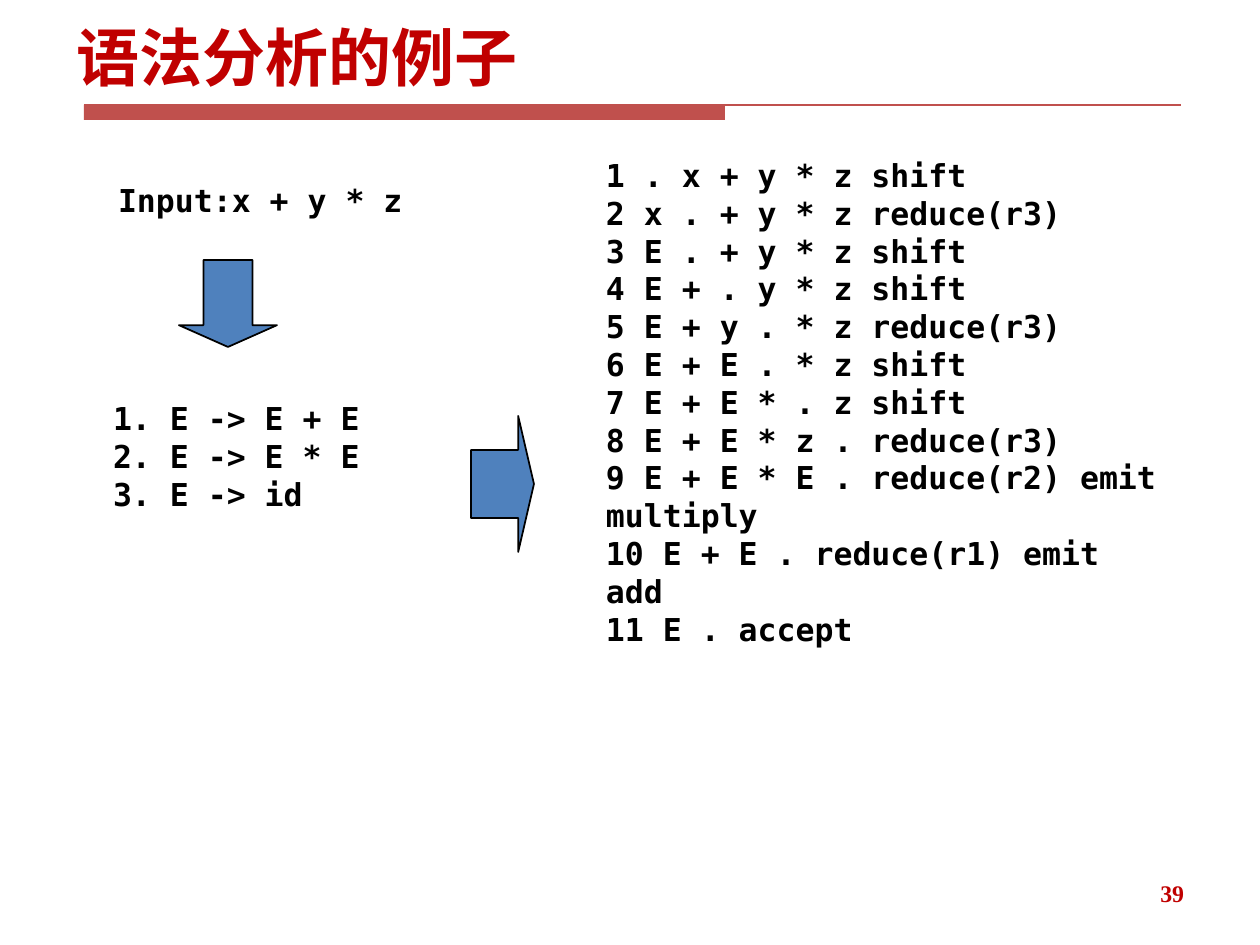
from lxml.etree import SubElement
from pptx import Presentation
from pptx.dml.color import RGBColor
from pptx.enum.shapes import MSO_CONNECTOR, MSO_SHAPE
from pptx.enum.text import MSO_ANCHOR, PP_ALIGN
from pptx.oxml.ns import qn
from pptx.util import Emu, Pt

PX = 914400 // 126
MONO = "DejaVu Sans Mono"
CJK = "Noto Sans CJK SC"
SERIF = "Times New Roman"
BLACK, RED, BRICK, BLUE = "000000", "C00000", "C0504D", "4F81BD"
PLAIN_INSETS = (13, 6)
CODE_INSETS = (49, -9)

GRAMMAR = ["1. E -> E + E", "2. E -> E * E", "3. E -> id"]
STEPS = [
    "1 . x + y * z shift",
    "2 x . + y * z reduce(r3)",
    "3 E . + y * z shift",
    "4 E + . y * z shift",
    "5 E + y . * z reduce(r3)",
    "6 E + E . * z shift",
    "7 E + E * . z shift",
    "8 E + E * z . reduce(r3)",
    "9 E + E * E . reduce(r2) emit multiply",
    "10 E + E . reduce(r1) emit add",
    "11 E . accept",
]


def px(*lengths):
    return [Emu(length * PX) for length in lengths]


def color(value):
    return RGBColor.from_string(value)


def add_text(slide, box, lines, size=18, font=MONO, ink=BLACK,
             insets=PLAIN_INSETS, align=PP_ALIGN.LEFT,
             anchor=MSO_ANCHOR.TOP, spacing=None):
    frame = slide.shapes.add_textbox(*px(*box)).text_frame
    frame.word_wrap = True
    frame.vertical_anchor = anchor
    frame.margin_left, frame.margin_top = px(*insets)
    frame.margin_right, frame.margin_bottom = px(*insets)
    for index, line in enumerate(lines):
        paragraph = frame.add_paragraph() if index else frame.paragraphs[0]
        paragraph.alignment = align
        paragraph.line_spacing = spacing
        run = paragraph.add_run()
        run.text = line
        run.font.name = font
        run.font.size = Pt(size)
        run.font.bold = True
        run.font.color.rgb = color(ink)
        # East Asian characters take their own typeface
        SubElement(run.font._element, qn("a:ea")).set("typeface", font)


def add_block(slide, kind, box, fill, outline=None):
    shape = slide.shapes.add_shape(kind, *px(*box))
    shape.shadow.inherit = False
    shape.fill.solid()
    shape.fill.fore_color.rgb = color(fill)
    if outline:
        shape.line.color.rgb = color(outline)
        shape.line.width = Pt(1)
    else:
        shape.line.fill.background()
    return shape


def add_arrow(slide, kind, box):
    arrow = add_block(slide, kind, box, BLUE, BLACK)
    arrow.adjustments[0] = 0.5
    arrow.adjustments[1] = 0.25


def add_rule(slide, left, right, top):
    rule = slide.shapes.add_connector(
        MSO_CONNECTOR.STRAIGHT, *px(left, top, right, top))
    rule.line.color.rgb = color(BRICK)
    rule.line.width = Pt(0.75)
    SubElement(rule._element.spPr, qn("a:effectLst"))


def main():
    presentation = Presentation()
    presentation.slide_width, presentation.slide_height = px(1260, 945)
    slide = presentation.slides.add_slide(presentation.slide_layouts[6])

    # Title with its bar and rule
    add_block(slide, MSO_SHAPE.RECTANGLE, (84, 105, 641, 15), BRICK)
    add_rule(slide, 84, 1181, 105)
    add_text(slide, (64, 0, 1133, 112), ["语法分析的例子"], 36, CJK, RED,
             anchor=MSO_ANCHOR.MIDDLE)

    # Page number
    add_text(slide, (903, 876, 294, 50), ["39"], 13.6, SERIF, RED,
             align=PP_ALIGN.RIGHT, spacing=0.9)

    # Grammar, parsing steps and input
    add_text(slide, (64, 408, 347, 184), GRAMMAR, insets=CODE_INSETS)
    add_text(slide, (557, 165, 651, 674), STEPS, insets=CODE_INSETS)
    add_text(slide, (105, 175, 336, 50), ["Input:x + y * z"])

    # Flow arrows
    add_arrow(slide, MSO_SHAPE.DOWN_ARROW, (179, 260, 98, 87))
    add_arrow(slide, MSO_SHAPE.RIGHT_ARROW, (471, 416, 63, 136))

    presentation.save("out.pptx")


if __name__ == "__main__":
    main()
